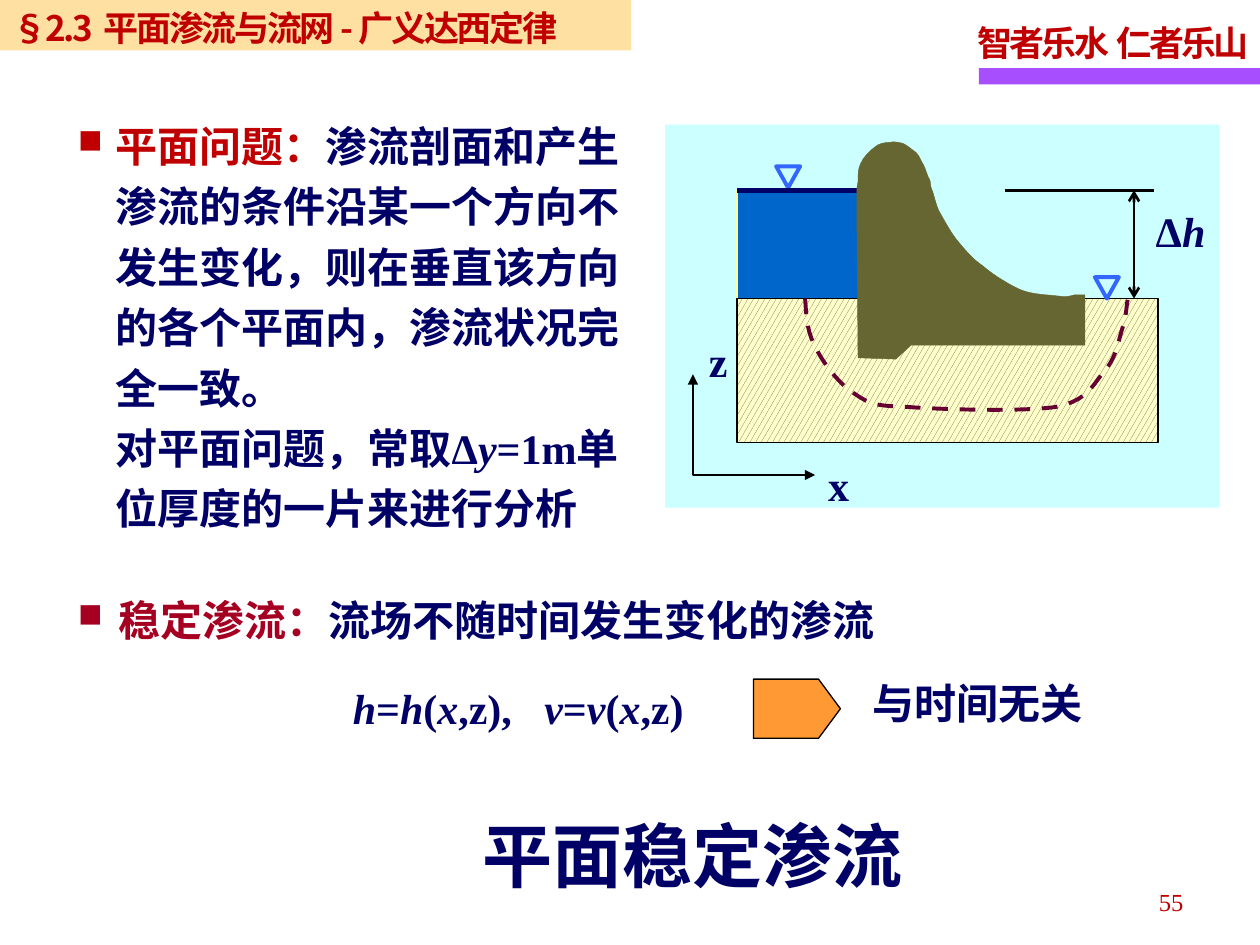
from lxml.etree import SubElement
from pptx import Presentation
from pptx.dml.color import RGBColor
from pptx.enum.dml import MSO_LINE, MSO_PATTERN
from pptx.enum.shapes import MSO_CONNECTOR, MSO_SHAPE
from pptx.enum.text import MSO_ANCHOR, PP_ALIGN
from pptx.oxml.ns import qn
from pptx.util import Inches, Pt

NAVY, RED, CRIMSON, BLACK = "000066", "C00000", "A50021", "000000"
OLIVE, CREAM, MARK = "666633", "FFFFCC", "3366FF"
SERIF, SANS = "Times New Roman", "Noto Sans CJK SC"
LEFT, CENTER, RIGHT = PP_ALIGN.LEFT, PP_ALIGN.CENTER, PP_ALIGN.RIGHT
rgb = RGBColor.from_string

prs = Presentation()
prs.slide_width, prs.slide_height = Inches(10), Inches(7.5)
s = prs.slides.add_slide(prs.slide_layouts[6])


def write(sp, runs, size=24, color=NAVY, bold=True, font=SERIF, align=LEFT,
          inset=0.1, wrap=True, spc=None, bullet=None, tab=None, line=None):
    """Fill a shape with one paragraph; each run is (text, overrides of format)."""
    tf = sp.text_frame
    tf.word_wrap, tf.vertical_anchor = wrap, MSO_ANCHOR.MIDDLE
    tf.margin_left = tf.margin_right = Inches(inset)
    p = tf.paragraphs[0]
    p.alignment = align
    if line:
        p.line_spacing = line
    pPr = p._p.get_or_add_pPr()
    if bullet:
        pPr.set("marL", str(Inches(bullet)))
        pPr.set("indent", str(-Inches(bullet)))
        SubElement(pPr, qn("a:buSzPct"), val="80000")
        SubElement(pPr, qn("a:buChar"), char="■")
    if tab:
        tabs = SubElement(pPr, qn("a:tabLst"))
        SubElement(tabs, qn("a:tab"), pos=str(Inches(tab)), algn="l")
    for text, own in runs:
        if text == "\n":
            p.add_line_break()
            continue
        form = {"color": color, "spc": spc, "italic": False} | own
        r = p.add_run()
        r.text = text
        values = {"size": Pt(size), "bold": bold, "italic": form["italic"], "name": font}
        for key, value in values.items():
            setattr(r.font, key, value)
        r.font.color.rgb = rgb(form["color"])
        rPr = r._r.get_or_add_rPr()
        SubElement(rPr, qn("a:ea"), typeface=SANS)
        if form["spc"] is not None:
            rPr.set("spc", str(int(form["spc"] * 100)))


def outline(start, segments, closed=False):
    """Draw a freeform; two numbers are a line end, six a cubic Bezier."""
    ends = [(Inches(seg[-2]), Inches(seg[-1])) for seg in segments]
    fb = s.shapes.build_freeform(Inches(start[0]), Inches(start[1]), scale=1.0)
    fb.add_line_segments(ends, close=closed)
    sp = fb.convert_to_shape()
    sp.shadow.inherit = False
    sp.fill.background()
    for seg, node in zip(segments, list(sp._element.iter(qn("a:lnTo")))):
        if len(seg) == 6:
            node.tag = qn("a:cubicBezTo")
            node.remove(node[0])
            for x, y in zip(seg[::2], seg[1::2]):
                SubElement(node, qn("a:pt"), x=str(Inches(x) - sp.left),
                           y=str(Inches(y) - sp.top))
    return sp


# Preset shapes: kind, box, fill, line colour, line width
RECT, TRIANGLE = MSO_SHAPE.RECTANGLE, MSO_SHAPE.ISOSCELES_TRIANGLE
presets = {
    "header rule": (RECT, (7.77, 0.54, 2.23, 0.13), "A74FFF", None, 0),
    "title bar": (RECT, (0, 0, 5.01, 0.4), "FFCC66", None, 0),
    "panel": (RECT, (5.28, 0.99, 4.4, 3.04), "CCFFFF", None, 0),
    "water": (RECT, (5.85, 1.51, 1.03, 0.95), "0066CC", "FFFF99", 0.75),
    "soil": (RECT, (5.85, 2.37, 3.34, 1.14), "pattern", BLACK, 0.75),
    "upstream level": (TRIANGLE, (6.16, 1.32, 0.19, 0.17), None, MARK, 2.25),
    "downstream level": (TRIANGLE, (8.69, 2.2, 0.19, 0.17), None, MARK, 2.25),
    "result arrow": (MSO_SHAPE.PENTAGON, (5.98, 5.39, 0.69, 0.47), "FF9933", BLACK, 0.75),
}
shapes = {}
for name, (kind, box, fill, edge, width) in presets.items():
    sp = shapes[name] = s.shapes.add_shape(kind, *map(Inches, box))
    sp.shadow.inherit = False
    if fill == "pattern":
        sp.fill.patterned()
        sp.fill.pattern = MSO_PATTERN.LARGE_CONFETTI
        sp.fill.fore_color.rgb, sp.fill.back_color.rgb = rgb(OLIVE), rgb(CREAM)
    elif fill:
        sp.fill.solid()
        sp.fill.fore_color.rgb = rgb(fill)
    else:
        sp.fill.background()
    if edge:
        sp.line.color.rgb, sp.line.width = rgb(edge), Pt(width)
    else:
        sp.line.fill.background()
    if kind == TRIANGLE:
        sp.rotation = 180
shapes["result arrow"].adjustments[0] = 0.37
bar_color = shapes["title bar"]._element.spPr.find(".//" + qn("a:srgbClr"))
SubElement(bar_color, qn("a:alpha"), val="60000")

# Straight lines: from, to, colour, width, arrowheads
for x1, y1, x2, y2, color, width, head in [
    (5.85, 1.51, 6.81, 1.51, NAVY, 3, None),
    (7.98, 1.51, 9.16, 1.51, BLACK, 1.5, None),
    (9, 1.51, 9, 2.37, BLACK, 1.5, "arrow"),
]:
    c = s.shapes.add_connector(MSO_CONNECTOR.STRAIGHT, *map(Inches, (x1, y1, x2, y2)))
    c.line.color.rgb, c.line.width = rgb(color), Pt(width)
    if head:
        for end in ("a:headEnd", "a:tailEnd"):
            SubElement(c.line._get_or_add_ln(), qn(end), type=head)
    SubElement(c._element.spPr, qn("a:effectLst"))

flow = outline((6.39, 2.37), [
    (6.4, 2.5, 6.4, 2.62, 6.47, 2.75), (6.53, 2.88, 6.66, 3.05, 6.79, 3.13),
    (6.91, 3.21, 6.94, 3.22, 7.2, 3.23), (7.46, 3.25, 8.11, 3.27, 8.38, 3.23),
    (8.64, 3.18, 8.68, 3.04, 8.77, 2.94), (8.86, 2.84, 8.88, 2.69, 8.91, 2.6),
    (8.94, 2.51, 8.94, 2.43, 8.95, 2.38)])
flow.line.color.rgb, flow.line.width = rgb("660033"), Pt(2.25)
flow.line.dash_style = MSO_LINE.DASH

dam = outline((6.81, 2.84), [
    (7.11, 2.85), (7.23, 2.74), (8.61, 2.74), (8.61, 2.34), (8.58, 2.34),
    (8.57, 2.34, 8.56, 2.34, 8.53, 2.34),
    (8.49, 2.35, 8.47, 2.36, 8.4, 2.35), (8.33, 2.34, 8.2, 2.34, 8.1, 2.3),
    (8.01, 2.26, 7.88, 2.18, 7.8, 2.11), (7.71, 2.05, 7.65, 1.97, 7.59, 1.9),
    (7.53, 1.82, 7.49, 1.74, 7.45, 1.67), (7.42, 1.6, 7.41, 1.53, 7.39, 1.49),
    (7.38, 1.45, 7.39, 1.46, 7.38, 1.43), (7.36, 1.4, 7.35, 1.35, 7.33, 1.31),
    (7.31, 1.28, 7.3, 1.24, 7.27, 1.21), (7.24, 1.19, 7.21, 1.16, 7.17, 1.14),
    (7.14, 1.13, 7.09, 1.12, 7.06, 1.13), (7.02, 1.13, 6.97, 1.14, 6.94, 1.17),
    (6.9, 1.2, 6.85, 1.25, 6.83, 1.3), (6.81, 1.34, 6.81, 1.38, 6.81, 1.44),
    (6.8, 1.5, 6.8, 1.44, 6.8, 1.67)], closed=True)
dam.fill.solid()
dam.fill.fore_color.rgb = dam.line.color.rgb = rgb(OLIVE)
dam.line.width = Pt(0.25)

axes = outline((5.5, 2.97), [(5.5, 3.77), (6.47, 3.77)])
axes.line.color.rgb, axes.line.width = rgb(BLACK), Pt(1.5)
for end in ("a:headEnd", "a:tailEnd"):
    SubElement(axes.line._get_or_add_ln(), qn(end), type="triangle")

write(shapes["title bar"],
      [("§2.3", {}), (" ", {"spc": 1.7}), ("平面渗流与流网 - 广义达西定律", {})],
      size=20, color=RED, font=SANS, spc=-1.4)
shapes["title bar"].text_frame.margin_top = Inches(0.08)

IT = {"italic": True}
label = {"align": CENTER, "inset": 0, "wrap": False}
for box, runs, form in [
    ((7.76, 0.09, 2.24, 0.49), [("智者乐水", {}), (" ", {"spc": 0}), ("仁者乐山", {})],
     {"size": 20, "color": RED, "spc": -1.7, "inset": 0}),
    ((0.52, 0.81, 4.71, 3.49),
     [("平面问题：", {"color": RED}),
      ("渗流剖面和产生渗流的条件沿某一个方向不发生变化，则在垂直该方向的各个平面内，"
       "渗流状况完全一致。", {}), ("\n", {}),
      ("对平面问题，常取Δ", {}), ("y", IT), ("=1m单位厚度的一片来进行分析", {})],
     {"bullet": 0.3, "line": Pt(34.5)}),
    ((0.52, 4.67, 6.56, 0.5),
     [("稳定渗流：", {"color": CRIMSON}), ("流场不随时间发生变化的渗流", {})],
     {"bullet": 0.32}),
    ((2.8, 5.37, 2.68, 0.5),
     [("h", IT), ("=", {}), ("h", IT), ("(", {}), ("x", IT), (",z),\t", {}),
      ("v", IT), ("=", {}), ("v", IT), ("(", {}), ("x", IT), (",z)", {})],
     {"inset": 0, "wrap": False, "tab": 1.52}),
    ((6.89, 5.38, 1.74, 0.4), [("与时间无关", {})], label | {"font": "Arial"}),
    ((9.17, 1.58, 0.4, 0.5), [("Δ", {}), ("h", IT)], label),
    ((6.52, 3.6, 0.27, 0.5), [("x", {})], label),
    ((5.58, 2.61, 0.24, 0.5), [("z", {})], label),
    ((3.67, 6.4, 3.65, 0.77), [("平面稳定渗流", {})], {"size": 40, "align": CENTER}),
    ((7.16, 6.96, 2.33, 0.4), [("55", {})],
     {"size": 14, "color": RED, "bold": False, "align": RIGHT}),
]:
    write(s.shapes.add_textbox(*map(Inches, box)), runs, **form)

prs.save("out.pptx")
